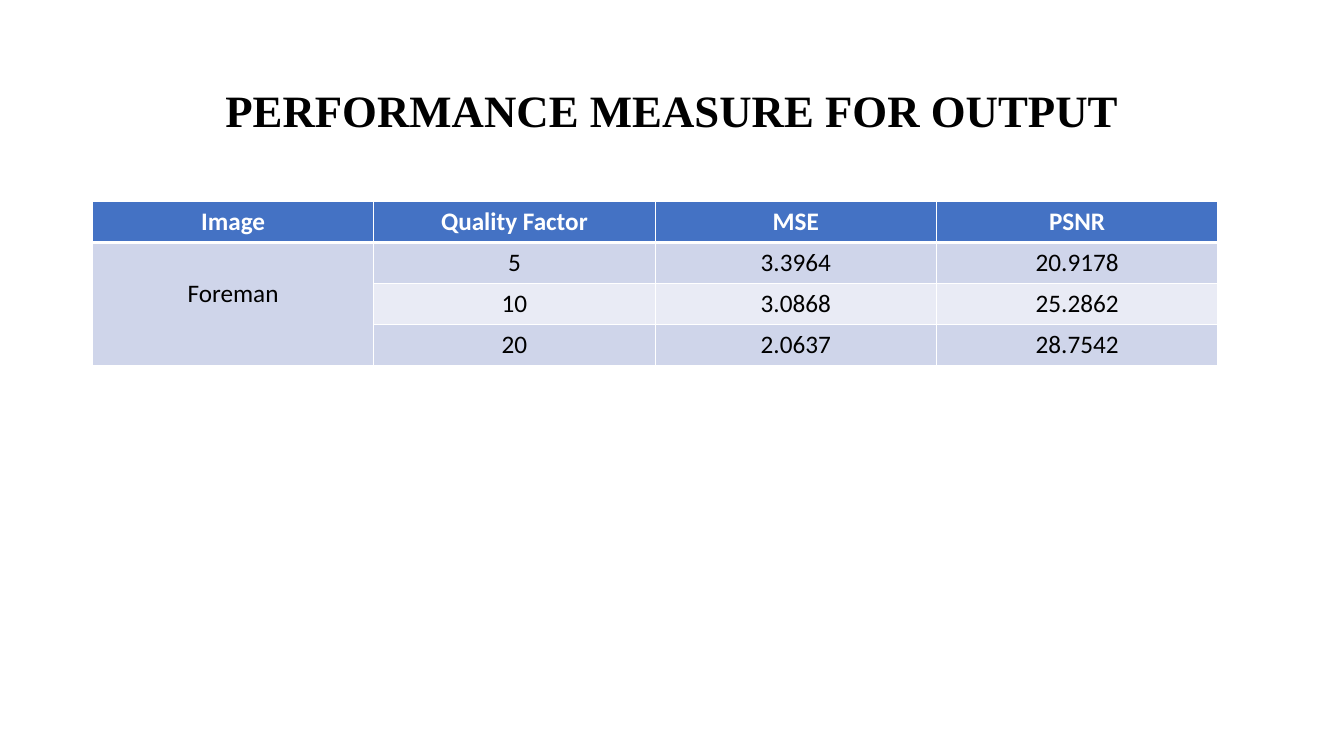
from lxml import etree
from pptx import Presentation
from pptx.dml.color import RGBColor
from pptx.enum import text
from pptx.oxml import ns
from pptx.util import Cm, Pt

BLACK = RGBColor(0x00, 0x00, 0x00)
WHITE = RGBColor(0xFF, 0xFF, 0xFF)
HEADER_BLUE = RGBColor(0x44, 0x72, 0xC4)
BAND_DARK = RGBColor(0xCF, 0xD5, 0xEA)
BAND_LIGHT = RGBColor(0xE9, 0xEB, 0xF5)

MEASURES = [
    ["Image", "Quality Factor", "MSE", "PSNR"],
    ["Foreman", "5", "3.3964", "20.9178"],
    ["", "10", "3.0868", "25.2862"],
    ["", "20", "2.0637", "28.7542"],
]
LEFT = Cm(2.33)
COLUMN_WIDTH = Cm(7.09)
ROW_HEIGHT = Cm(1.03)


def format_paragraph(paragraph, font_name, size, color, bold):
    paragraph.alignment = text.PP_ALIGN.CENTER
    for run in paragraph.runs:
        run.font.name = font_name
        run.font.size = Pt(size)
        run.font.color.rgb = color
        run.font.bold = bold


def add_border(cell, side, width):
    properties = cell._tc.get_or_add_tcPr()
    line = etree.SubElement(properties, ns.qn(f"a:ln{side}"), w=str(Pt(width)))
    fill = etree.SubElement(line, ns.qn("a:solidFill"))
    etree.SubElement(fill, ns.qn("a:srgbClr"), val=str(WHITE))


presentation = Presentation()
presentation.slide_width = Cm(33.87)
presentation.slide_height = Cm(19.05)
slide = presentation.slides.add_slide(presentation.slide_layouts[6])

title = slide.shapes.add_textbox(LEFT, Cm(1.01), Cm(29.21), Cm(3.68))
title.text_frame.word_wrap = True
title.text_frame.vertical_anchor = text.MSO_ANCHOR.MIDDLE
title.text_frame.text = "PERFORMANCE MEASURE FOR OUTPUT"
title_paragraph = title.text_frame.paragraphs[0]
title_paragraph.line_spacing = 0.9
format_paragraph(title_paragraph, "Times New Roman", 32, BLACK, True)

row_count, column_count = len(MEASURES), len(MEASURES[0])
table = slide.shapes.add_table(
    row_count, column_count, LEFT, Cm(5.08),
    COLUMN_WIDTH * column_count, ROW_HEIGHT * row_count,
).table
for column in table.columns:
    column.width = COLUMN_WIDTH
for row in table.rows:
    row.height = ROW_HEIGHT

for row_index, values in enumerate(MEASURES):
    is_header = row_index == 0
    band = BAND_DARK if row_index % 2 else BAND_LIGHT
    for column_index, value in enumerate(values):
        cell = table.cell(row_index, column_index)
        for side in "LRTB":
            thick = (is_header and side == "B") or (row_index == 1 and side == "T")
            add_border(cell, side, 3 if thick else 1)
        cell.fill.solid()
        cell.fill.fore_color.rgb = HEADER_BLUE if is_header else band
        cell.text_frame.text = value
        format_paragraph(cell.text_frame.paragraphs[0], "Calibri", 18,
                         WHITE if is_header else BLACK, is_header)

image_cell = table.cell(1, 0)
image_cell.merge(table.cell(row_count - 1, 0))
image_cell.margin_top = Cm(0.9)

presentation.save("out.pptx")
